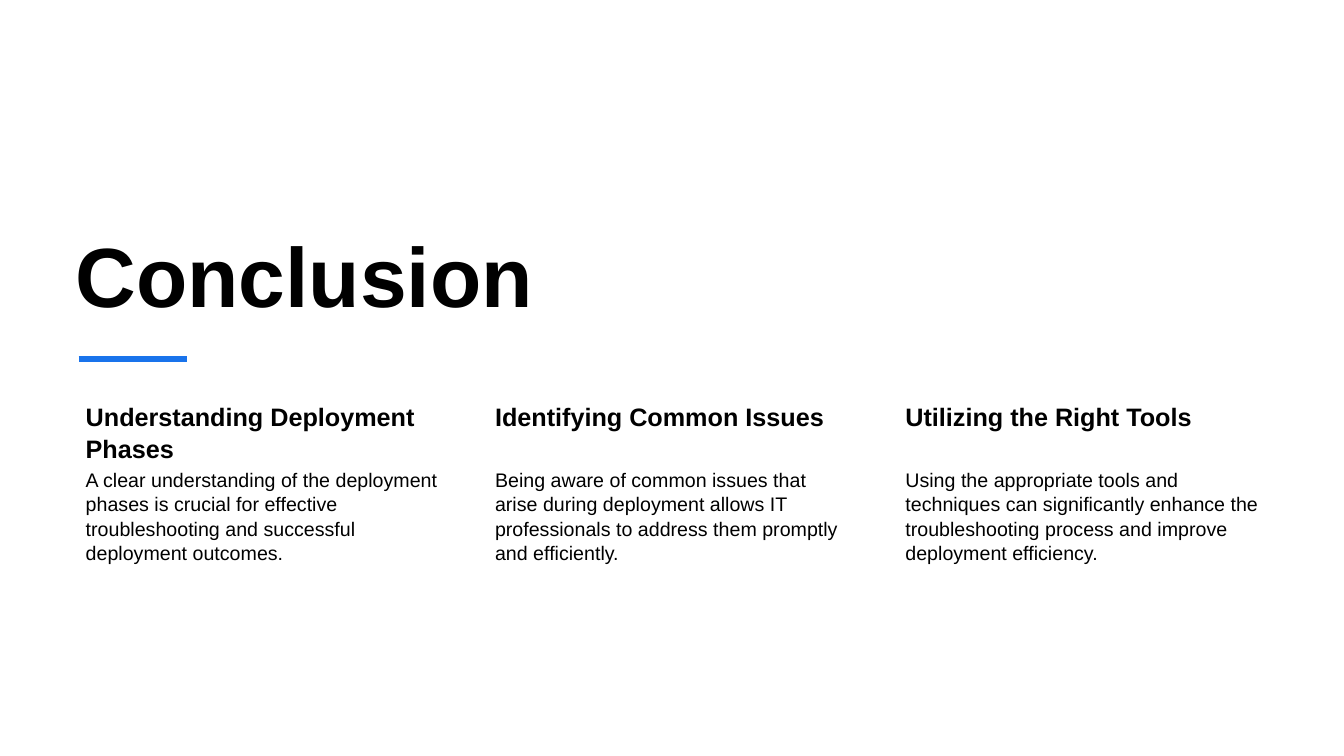
"""Build the conclusion slide: a large title, a blue rule and three takeaways."""
from dataclasses import dataclass

from lxml.etree import SubElement
from pptx import Presentation
from pptx.dml.color import RGBColor
from pptx.enum.shapes import MSO_CONNECTOR as Connector
from pptx.enum.text import MSO_ANCHOR as Anchor, MSO_AUTO_SIZE as AutoSize, PP_ALIGN as Align
from pptx.oxml.ns import qn
from pptx.util import Pt


@dataclass(frozen=True)
class Theme:
    font: str = "Arial"
    ink: RGBColor = RGBColor(0x00, 0x00, 0x00)
    accent: RGBColor = RGBColor(0x19, 0x73, 0xEB)
    title_size: int = 60
    heading_size: int = 18
    body_size: int = 14
    rule_width: float = 4.5


theme = Theme()
PX = 9144
COLUMN_LEFT, COLUMN_WIDTH, TWO_COLUMN_STEP = 70, 369, 813
HEADING_TOP, HEADING_HEIGHT, BODY_HEIGHT = 393, 68, 207


def write(box, text, size, bold, insets, anchor, spacing):
    """Fill a text shape with one formatted paragraph."""
    frame = box.text_frame
    frame.word_wrap = True
    frame.auto_size = AutoSize.NONE
    frame.vertical_anchor = anchor
    frame.margin_left, frame.margin_top, frame.margin_right, frame.margin_bottom = (
        inset * PX for inset in insets
    )
    para = frame.paragraphs[0]
    para.text = text
    para.alignment = Align.LEFT
    para.line_spacing = spacing
    para.font.name = theme.font
    para.font.size = Pt(size)
    para.font.bold = bold
    para.font.color.rgb = theme.ink


deck = Presentation()
deck.slide_width, deck.slide_height = 1333 * PX, 750 * PX
page = deck.slides.add_slide(deck.slide_layouts[5])

title = page.shapes.title
title.left, title.top, title.width, title.height = 70 * PX, 172 * PX, 893 * PX, 154 * PX
write(title, "Conclusion", theme.title_size, True, (5, 4, 5, 4), Anchor.BOTTOM, 1.0)

takeaways = [
    (
        "Understanding Deployment Phases",
        "A clear understanding of the deployment phases is crucial for effective "
        "troubleshooting and successful deployment outcomes.",
    ),
    (
        "Identifying Common Issues",
        "Being aware of common issues that arise during deployment allows IT "
        "professionals to address them promptly and efficiently.",
    ),
    (
        "Utilizing the Right Tools",
        "Using the appropriate tools and techniques can significantly enhance the "
        "troubleshooting process and improve deployment efficiency.",
    ),
]
for column, (heading, body) in enumerate(takeaways):
    left = COLUMN_LEFT + column * TWO_COLUMN_STEP // 2
    heading_box = page.shapes.add_textbox(
        left * PX, HEADING_TOP * PX, COLUMN_WIDTH * PX, HEADING_HEIGHT * PX
    )
    write(heading_box, heading, theme.heading_size, True, (15, 3, 3, 3), Anchor.TOP, 1.07)
    body_box = page.shapes.add_textbox(
        left * PX, (HEADING_TOP + HEADING_HEIGHT) * PX, COLUMN_WIDTH * PX, BODY_HEIGHT * PX
    )
    write(body_box, body, theme.body_size, False, (15, 2, 2, 2), Anchor.TOP, 1.04)

rule = page.shapes.add_connector(Connector.STRAIGHT, 78 * PX, 356 * PX, 185 * PX, 356 * PX)
rule.line.color.rgb = theme.accent
rule.line.width = Pt(theme.rule_width)
SubElement(rule.element.spPr, qn("a:effectLst"))

deck.save("out.pptx")
